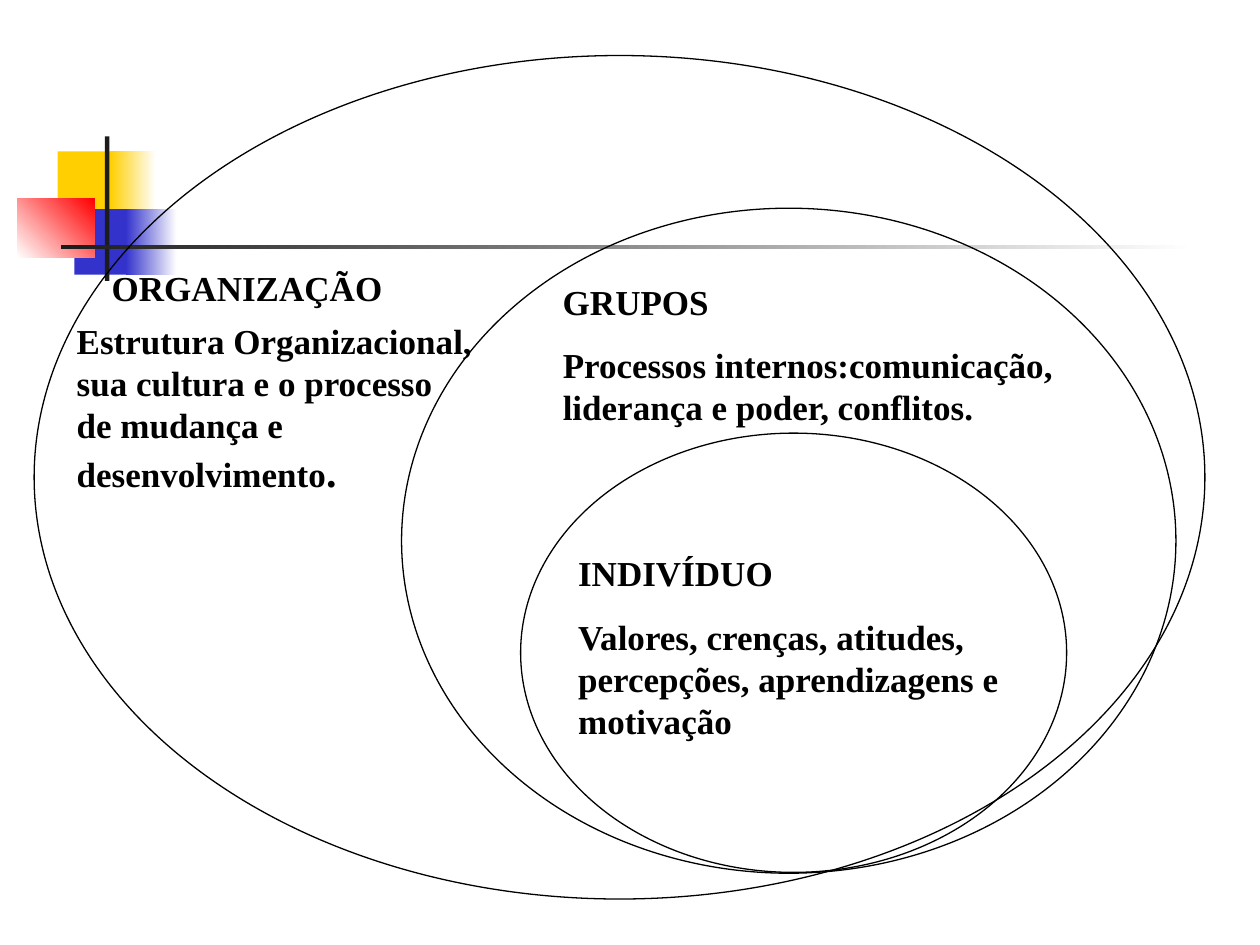
from pptx import Presentation
from pptx.dml.color import RGBColor
from pptx.enum.shapes import MSO_SHAPE
from pptx.enum.text import MSO_AUTO_SIZE
from pptx.util import Pt

RECT = MSO_SHAPE.RECTANGLE
OVAL = MSO_SHAPE.OVAL
GROW = MSO_AUTO_SIZE.SHAPE_TO_FIT_TEXT
FONT = "Times New Roman"
BLACK, WHITE, DARK = "000000", "FFFFFF", "1C1C1C"
GOLD, BLUE, RED = "FFCF01", "3333CC", "FF0000"


def color(code):
    return RGBColor.from_string(code)


def shape(slide, kind, box):
    item = slide.shapes.add_shape(kind, *map(Pt, box))
    item.shadow.inherit = False
    return item


def block(slide, box, start, end=None, angle=0):
    item = shape(slide, RECT, box)
    item.line.fill.background()
    if end is None:
        item.fill.solid()
        item.fill.fore_color.rgb = color(start)
        return
    item.fill.gradient()
    item.fill.gradient_angle = angle
    for stop, code, place in zip(item.fill.gradient_stops, (start, end), (0, 1)):
        stop.color.rgb = color(code)
        stop.position = place


def ring(slide, box):
    item = shape(slide, OVAL, box)
    item.fill.background()
    item.line.color.rgb = color(BLACK)
    item.line.width = Pt(0.75)


def style(run, size):
    run.font.name = FONT
    run.font.size = Pt(size)
    run.font.bold = True
    run.font.color.rgb = color(BLACK)


def text(slide, box, *lines, size=20, gap=12.5, tail="", tail_size=24):
    frame = slide.shapes.add_textbox(*map(Pt, box)).text_frame
    frame.word_wrap = True
    frame.auto_size = GROW
    for i, line in enumerate(lines):
        para = frame.add_paragraph() if i else frame.paragraphs[0]
        para.text = line
        if i:
            para.space_before = Pt(gap)
        for run in para.runs:
            style(run, size)
    if tail:
        run = para.add_run()
        run.text = tail
        style(run, tail_size)


def motif(slide):
    block(slide, (33, 86.5, 34.5, 37.5), GOLD)
    block(slide, (63, 86.5, 26, 37.5), GOLD, WHITE)
    block(slide, (42.5, 119.5, 33, 37.5), BLUE)
    block(slide, (72, 119.5, 29, 37.5), BLUE, WHITE)
    block(slide, (10, 113.5, 44, 33.5), WHITE, RED, angle=45)
    block(slide, (60, 78, 2.5, 82.5), DARK)
    block(slide, (34.75, 140, 648, 2.5), DARK, WHITE)


def main():
    deck = Presentation()
    deck.slide_width, deck.slide_height = Pt(720), Pt(540)
    slide = deck.slides.add_slide(deck.slide_layouts[6])

    motif(slide)
    ring(slide, (19.5, 31.75, 669, 482))
    ring(slide, (229.5, 119, 442.5, 380))
    ring(slide, (297.5, 247.5, 312, 251))

    text(slide, (323.25, 311.75, 300, 116), "INDIVÍDUO",
         "Valores, crenças, atitudes, percepções, aprendizagens e motivação")
    text(slide, (314.5, 156.75, 221, 31.5), "GRUPOS")
    text(slide, (56.75, 148.5, 258, 31.5), "ORGANIZAÇÃO")
    text(slide, (314.5, 192.5, 300, 55.5),
         "Processos internos:comunicação, liderança e poder, conflitos.")
    text(slide, (36.75, 179.25, 250, 108),
         "Estrutura Organizacional, sua cultura e o processo\v"
         "de mudança e desenvolvimento", tail=".")

    deck.save("out.pptx")


if __name__ == "__main__":
    main()
